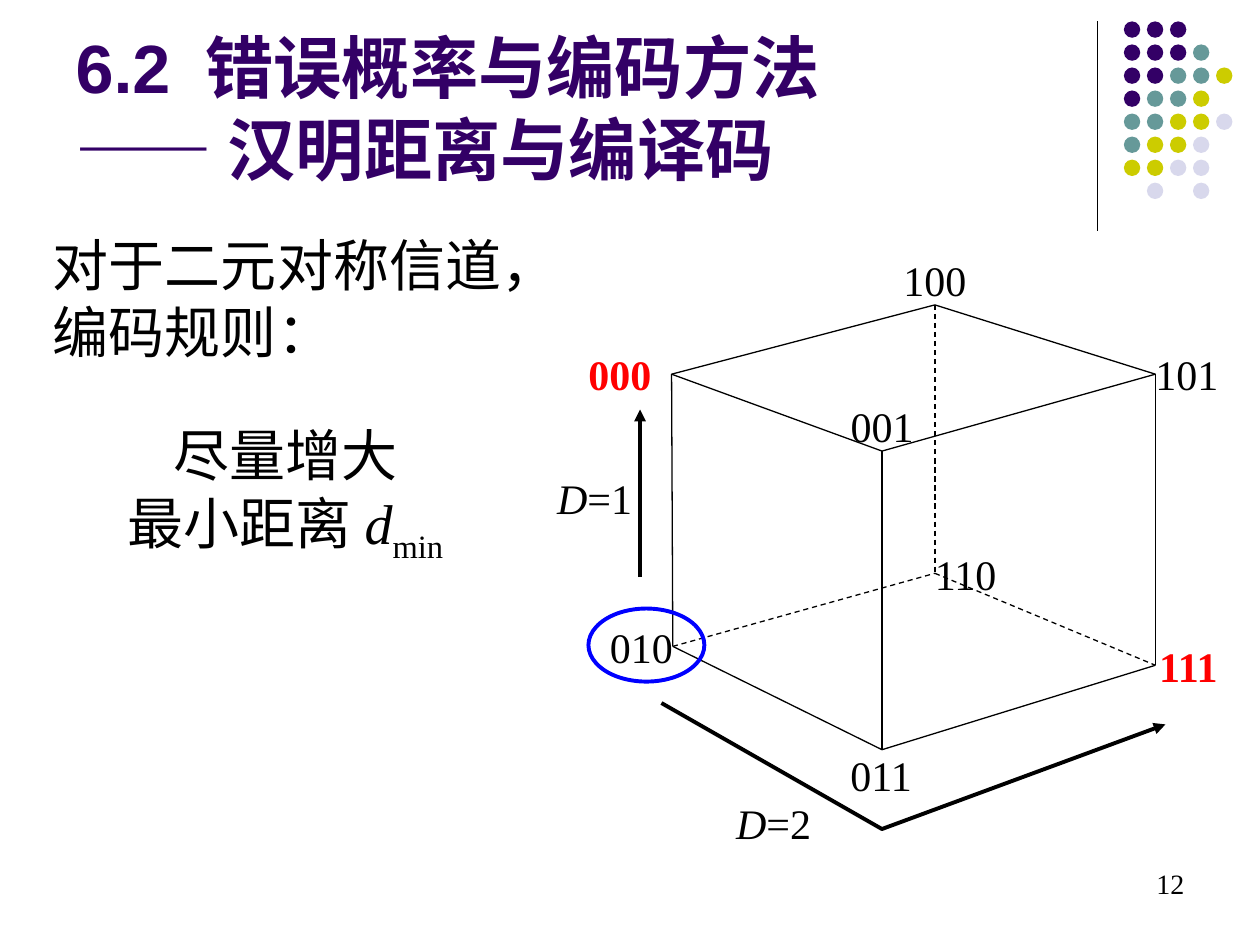
from dataclasses import dataclass
from itertools import combinations

from lxml import etree
from pptx import Presentation
from pptx.dml.color import RGBColor
from pptx.enum import dml, shapes, text
from pptx.oxml.ns import qn
from pptx.util import Inches, Pt


@dataclass(frozen=True)
class Theme:
    purple: RGBColor = RGBColor(0x33, 0x00, 0x66)
    teal: RGBColor = RGBColor(0x66, 0x99, 0x99)
    olive: RGBColor = RGBColor(0xCC, 0xCC, 0x00)
    lilac: RGBColor = RGBColor(0xD8, 0xD8, 0xEC)
    black: RGBColor = RGBColor(0x00, 0x00, 0x00)
    red: RGBColor = RGBColor(0xFF, 0x00, 0x00)
    blue: RGBColor = RGBColor(0x00, 0x00, 0xFF)
    title_font: str = "Arial"
    body_font: str = "Times New Roman"
    title_size: Pt = Pt(39)
    body_size: Pt = Pt(32)
    label_size: Pt = Pt(24)
    number_size: Pt = Pt(16)
    thin: Pt = Pt(0.75)
    thick: Pt = Pt(2.25)


theme = Theme()
LEFT, CENTER, RIGHT = text.PP_ALIGN.LEFT, text.PP_ALIGN.CENTER, text.PP_ALIGN.RIGHT

deck = Presentation()
deck.slide_width, deck.slide_height = Inches(10), Inches(7.5)
page = deck.slides.add_slide(deck.slide_layouts[5])


def add_text(place, lines, size, align=LEFT, color=theme.black, bold=False, wrap=False):
    box = page.shapes.add_textbox(*map(Inches, place))
    frame = box.text_frame
    frame.word_wrap = wrap
    frame.margin_left = frame.margin_right = frame.margin_top = frame.margin_bottom = 0
    for index, line in enumerate(lines):
        para = frame.paragraphs[0] if index == 0 else frame.add_paragraph()
        para.alignment = align
        para.font.name, para.font.size = theme.body_font, size
        para.font.bold, para.font.color.rgb = bold, color
        for words, style in line:
            span = para.add_run()
            span.text = words
            if style == "italic":
                span.font.italic = True
            elif style == "subscript":
                span.font._element.set("baseline", "-25000")


def add_line(start, end, width, dashed=False):
    line = page.shapes.add_connector(
        shapes.MSO_CONNECTOR.STRAIGHT, *map(Inches, (*start, *end)))
    line.line.color.rgb, line.line.width = theme.black, width
    if dashed:
        line.line.dash_style = dml.MSO_LINE.DASH
    etree.SubElement(line._element.spPr, qn("a:effectLst"))
    return line


add_line((8.71, 0.17), (8.71, 1.83), theme.thin)

dot_colors = {"P": theme.purple, "T": theme.teal, "O": theme.olive, "L": theme.lilac}
dot_rows = ["PPP", "PPPT", "PPTTO", "PTTO", "TTOOL", "TOOL", "OOLL", " L L"]
dot_pitch = 1.28 / 7
for row, pattern in enumerate(dot_rows):
    for column, key in enumerate(pattern):
        if key in dot_colors:
            dot = page.shapes.add_shape(
                shapes.MSO_SHAPE.OVAL,
                Inches(8.92 + column * dot_pitch), Inches(0.17 + row * dot_pitch),
                Inches(0.13), Inches(0.13))
            dot.shadow.inherit = False
            dot.fill.solid()
            dot.fill.fore_color.rgb = dot_colors[key]
            dot.line.fill.background()

title = page.shapes.title
title.left, title.top, title.width, title.height = map(Inches, (0.5, 0.13, 8.25, 1.42))
title.text_frame.auto_size = text.MSO_AUTO_SIZE.NONE
title.text_frame.vertical_anchor = text.MSO_ANCHOR.BOTTOM
title.text_frame.text = "6.2\t错误概率与编码方法\v—— 汉明距离与编译码"
para = title.text_frame.paragraphs[0]
para.alignment = LEFT
tabs = etree.SubElement(para._p.get_or_add_pPr(), qn("a:tabLst"))
etree.SubElement(tabs, qn("a:tab"), pos=str(Inches(1.03)), algn="l")
para.font.name, para.font.size = theme.title_font, theme.title_size
para.font.bold, para.font.color.rgb = True, theme.purple

vertices = {
    "000": (5.33, 2.97), "001": (7, 3.58), "010": (5.34, 5.13), "011": (7, 5.95),
    "100": (7.42, 2.42), "101": (9.17, 2.97), "110": (7.42, 4.55), "111": (9.17, 5.28),
}
label_places = {
    "000": (4.67, 2.77), "001": (6.75, 3.18), "010": (4.84, 4.93), "011": (6.75, 5.95),
    "100": (7.17, 2.02), "101": (9.17, 2.77), "110": (7.42, 4.35), "111": (9.2, 5.08),
}
codewords = ("000", "111")
hidden_vertex = "110"

for code, place in label_places.items():
    chosen = code in codewords
    add_text((*place, 0.5, 0.4), [[(code, None)]], theme.label_size,
             color=theme.red if chosen else theme.black, bold=chosen)

for first, second in combinations(vertices, 2):
    distance = sum(a != b for a, b in zip(first, second))
    if distance == 1:
        add_line(vertices[first], vertices[second], theme.thin,
                 dashed=hidden_vertex in (first, second))

add_text((0.42, 1.83, 4.01, 1.07),
         [[("对于二元对称信道，", None)], [("编码规则：", None)]], theme.body_size)
add_text((1.01, 3.34, 2.51, 1.14),
         [[("尽量增大", None)],
          [("最小距离 ", None), ("d", "italic"), ("min", "subscript")]],
         theme.body_size, CENTER)

ring = page.shapes.add_shape(
    shapes.MSO_SHAPE.OVAL, *map(Inches, (4.67, 4.83, 0.92, 0.58)))
ring.shadow.inherit = False
ring.fill.background()
ring.line.color.rgb, ring.line.width = theme.blue, theme.thick

one_step = add_line((5.08, 4.58), (5.08, 3.25), theme.thick)

builder = page.shapes.build_freeform(Inches(5.25), Inches(5.58))
builder.add_line_segments(
    [(Inches(7), Inches(6.58)), (Inches(9.25), Inches(5.75))], close=False)
two_steps = builder.convert_to_shape()
two_steps.shadow.inherit = False
two_steps.fill.background()
two_steps.line.color.rgb, two_steps.line.width = theme.black, theme.thick

for arrow in (one_step, two_steps):
    etree.SubElement(arrow._element.spPr.find(qn("a:ln")), qn("a:tailEnd"), type="triangle")

for place, value in (((4.42, 3.75), "=1"), ((5.84, 6.33), "=2")):
    add_text((*place, 0.6, 0.4), [[("D", "italic"), (value, None)]],
             theme.label_size, CENTER)

add_text((7.27, 6.88, 2.13, 0.4), [[("12", None)]], theme.number_size, RIGHT, wrap=True)

deck.save("out.pptx")
